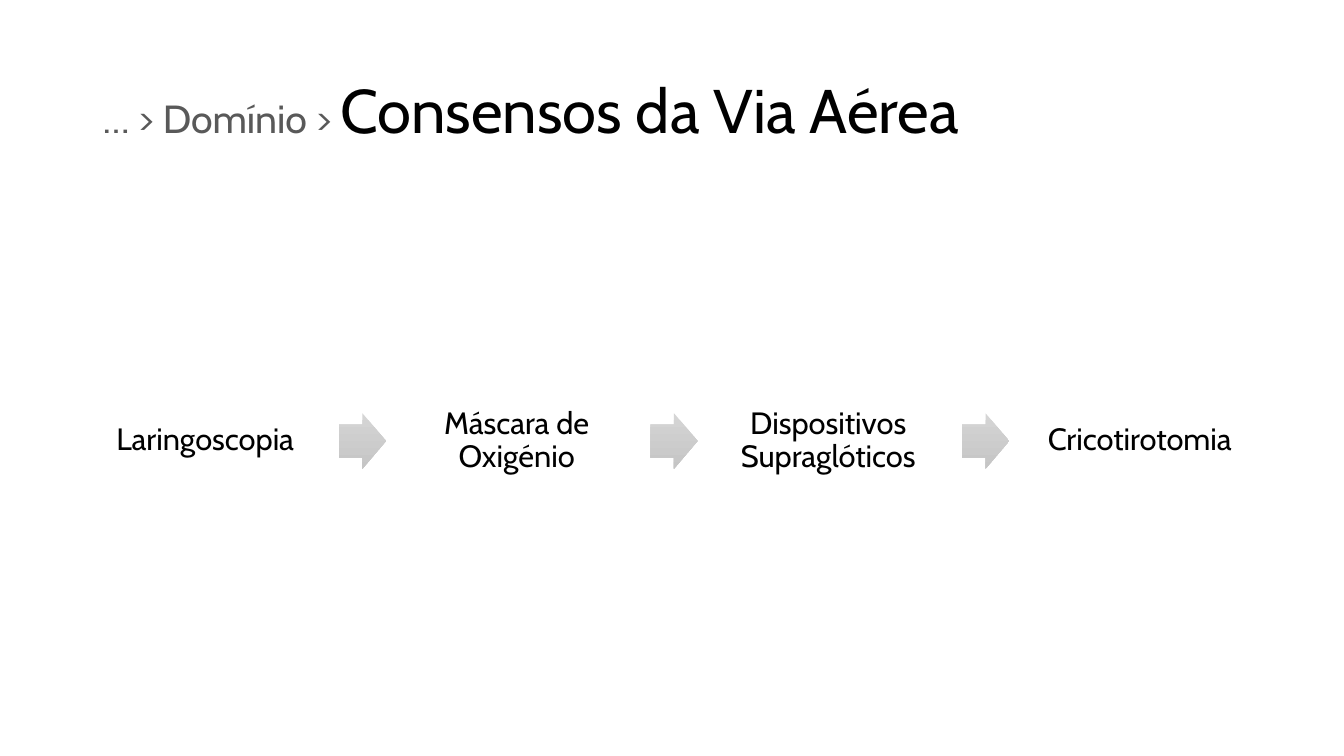
import dataclasses

import pptx
import pptx.dml.color
import pptx.enum.shapes
import pptx.enum.text
import pptx.presentation
import pptx.shapes.autoshape
import pptx.slide
import pptx.text.text
import pptx.util

Inches = pptx.util.Inches
RGB = pptx.dml.color.RGBColor
MSO_SHAPE = pptx.enum.shapes.MSO_SHAPE
ANCHOR = pptx.enum.text.MSO_ANCHOR
ALIGN = pptx.enum.text.PP_ALIGN


@dataclasses.dataclass(frozen=True)
class Theme:
    font: str = "Cabin"
    ink: str = "000000"
    muted: str = "595959"
    card: str = "FFFFFF"
    arrow_top: str = "D5D5D5"
    arrow_bottom: str = "C5C5C5"
    title_size: int = 44
    breadcrumb_size: int = 28
    step_size: int = 22
    line_spacing: float = 0.9


@dataclasses.dataclass(frozen=True)
class Box:
    left: float
    top: float
    width: float
    height: float

    def shifted(self, distance: float) -> "Box":
        return dataclasses.replace(self, left=self.left + distance)


THEME = Theme()
TITLE_BOX = Box(0.92, 0.4, 11.5, 1.45)
FIRST_STEP = Box(0.93, 3.71, 2.21, 1.33)
FIRST_ARROW = Box(3.36, 4.1, 0.47, 0.55)
STEP_PITCH = 3.09
STEP_INSET = 0.13
AIRWAY_STEPS = (
    "Laringoscopia",
    "Máscara de Oxigénio",
    "Dispositivos Supraglóticos",
    "Cricotirotomia",
)


def add_run(paragraph: pptx.text.text._Paragraph, text: str, size: int, color: str) -> None:
    run = paragraph.add_run()
    run.text = text
    run.font.name = THEME.font
    run.font.size = pptx.util.Pt(size)
    run.font.color.rgb = RGB.from_string(color)


def add_preset(
    slide: pptx.slide.Slide, preset: MSO_SHAPE, box: Box, adjustments: tuple[float, ...]
) -> pptx.shapes.autoshape.Shape:
    preset_shape = slide.shapes.add_shape(
        preset, Inches(box.left), Inches(box.top), Inches(box.width), Inches(box.height)
    )
    preset_shape.shadow.inherit = False
    preset_shape.line.fill.background()
    for index, value in enumerate(adjustments):
        preset_shape.adjustments[index] = value
    return preset_shape


def add_title(slide: pptx.slide.Slide) -> None:
    title = slide.shapes.title
    title.left, title.top = Inches(TITLE_BOX.left), Inches(TITLE_BOX.top)
    title.width, title.height = Inches(TITLE_BOX.width), Inches(TITLE_BOX.height)
    frame = title.text_frame
    frame.word_wrap = True
    frame.auto_size = pptx.enum.text.MSO_AUTO_SIZE.NONE
    frame.vertical_anchor = ANCHOR.MIDDLE
    heading = frame.paragraphs[0]
    heading.alignment = ALIGN.LEFT
    heading.line_spacing = THEME.line_spacing
    add_run(heading, "… > Domínio > ", THEME.breadcrumb_size, THEME.muted)
    add_run(heading, "Consensos da Via Aérea", THEME.title_size, THEME.ink)


def add_step(slide: pptx.slide.Slide, label: str, box: Box) -> None:
    card = add_preset(slide, MSO_SHAPE.ROUNDED_RECTANGLE, box, (0.1,))
    card.fill.solid()
    card.fill.fore_color.rgb = RGB.from_string(THEME.card)
    frame = card.text_frame
    frame.word_wrap = True
    frame.vertical_anchor = ANCHOR.MIDDLE
    frame.margin_left = frame.margin_right = Inches(STEP_INSET)
    frame.margin_top = frame.margin_bottom = Inches(STEP_INSET)
    paragraph = frame.paragraphs[0]
    paragraph.alignment = ALIGN.CENTER
    paragraph.line_spacing = THEME.line_spacing
    add_run(paragraph, label, THEME.step_size, THEME.ink)


def add_arrow(slide: pptx.slide.Slide, box: Box) -> None:
    arrow = add_preset(slide, MSO_SHAPE.RIGHT_ARROW, box, (0.6, 0.5))
    arrow.fill.gradient()
    arrow.fill.gradient_angle = 270
    for stop, color in zip(arrow.fill.gradient_stops, (THEME.arrow_top, THEME.arrow_bottom)):
        stop.color.rgb = RGB.from_string(color)


def main() -> None:
    deck: pptx.presentation.Presentation = pptx.Presentation()
    deck.slide_width, deck.slide_height = Inches(13.33), Inches(7.5)
    slide = deck.slides.add_slide(deck.slide_layouts.get_by_name("Title Only"))
    add_title(slide)
    for index, label in enumerate(AIRWAY_STEPS):
        distance = index * STEP_PITCH
        add_step(slide, label, FIRST_STEP.shifted(distance))
        if index < len(AIRWAY_STEPS) - 1:
            add_arrow(slide, FIRST_ARROW.shifted(distance))
    deck.save("out.pptx")


if __name__ == "__main__":
    main()
